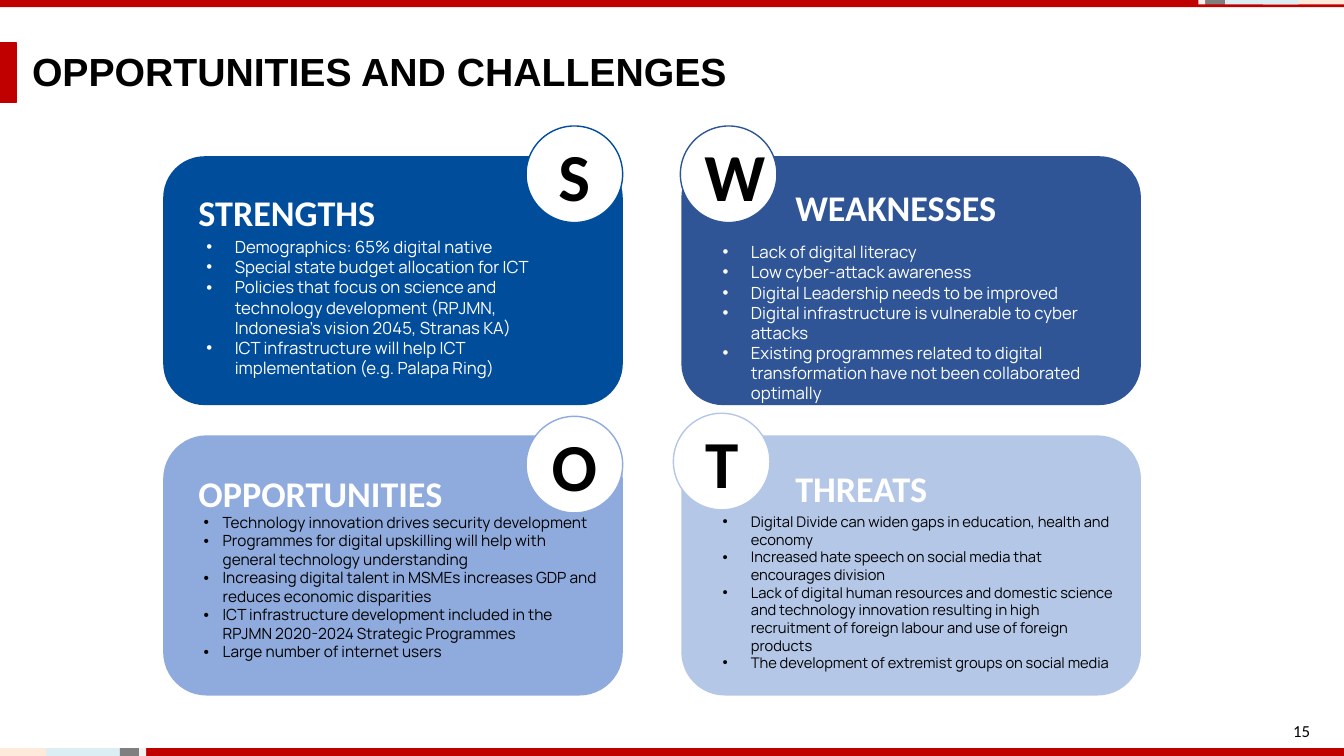
from pptx import Presentation
from pptx.dml.color import RGBColor
from pptx.enum import shapes, text
from pptx.oxml.xmlchemy import OxmlElement
from pptx.util import Pt

HUES = {
    "red": "C00000", "peach": "FDEADA", "ice": "DBEEF4", "gray": "7F7F7F",
    "pale": "F2F2F2", "white": "FFFFFF", "black": "000000",
    "S": "004D9C", "W": "2F5597", "O": "8FAADC", "T": "B4C7E7",
}
KINDS = shapes.MSO_SHAPE


def add_block(kind, x, y, w, h, fill, line=None):
    block = slide.shapes.add_shape(kind, Pt(x), Pt(y), Pt(w), Pt(h))
    block.shadow.inherit = False
    block.fill.solid()
    block.fill.fore_color.rgb = RGBColor.from_string(HUES[fill])
    if line:
        block.line.color.rgb = RGBColor.from_string(HUES[line])
        block.line.width = Pt(1)
    else:
        block.line.fill.background()
    return block


def add_text(lines, box=None, shape=None, size=12, font="Calibri", hue="black",
             bold=False, align=None, middle=False, inset=None, space=None, indent=None):
    """Fill a shape, or a new text box; indent is (margin, hang) for bullets."""
    shape = shape or slide.shapes.add_textbox(*map(Pt, box))
    frame = shape.text_frame
    frame.word_wrap = True
    frame.vertical_anchor = text.MSO_ANCHOR.MIDDLE if middle else text.MSO_ANCHOR.TOP
    if inset is not None:
        frame.margin_left = frame.margin_right = Pt(inset)
        frame.margin_top = frame.margin_bottom = Pt(inset)
    for i, line in enumerate(lines):
        para = frame.paragraphs[0] if i == 0 else frame.add_paragraph()
        para.alignment = align
        if space:
            para.line_spacing = space
        if indent:
            props = para._p.get_or_add_pPr()
            props.set("marL", str(Pt(indent[0])))
            props.set("indent", str(Pt(-indent[1])))
            tint = OxmlElement("a:buClr")
            rgb = OxmlElement("a:srgbClr")
            rgb.set("val", HUES[hue])
            tint.append(rgb)
            face = OxmlElement("a:buFont")
            face.set("typeface", "Arial")
            mark = OxmlElement("a:buChar")
            mark.set("char", "•")
            props.extend([tint, face, mark])
        run = para.add_run()
        run.text = line
        run.font.size = Pt(size)
        run.font.name = font
        run.font.bold = bold
        run.font.color.rgb = RGBColor.from_string(HUES[hue])


deck = Presentation()
deck.slide_width, deck.slide_height = Pt(960), Pt(540)
slide = deck.slides.add_slide(deck.slide_layouts[6])
center = text.PP_ALIGN.CENTER

# Edge strips: the top one is the bottom one turned by half
strip = [(0, 961, "red"), (0, 58.3, "peach"), (33.1, 52.6, "ice"),
         (85.7, 13.7, "gray"), (99.4, 5, "pale")]
for x, wide, hue in strip:
    add_block(KINDS.RECTANGLE, x, 534.3, wide, 5.8, hue)
    top = -0.7 if hue == "red" else -2.7
    add_block(KINDS.RECTANGLE, 960.5 - x - wide, top, wide, 5.8, hue)

add_text(["OPPORTUNITIES AND CHALLENGES"], (15.8, 26.6, 793.4, 52.6), size=28,
         font="Arial", bold=True, middle=True, space=0.9)
add_block(KINDS.RECTANGLE, -0.7, 30.2, 12.2, 43.2, "red", "red")

# letter, card (x, y, h), badge (x, y), heading, its box (x, y, w),
# list box (x, y, w, h), size, colour, indent, items
cards = [
    ("S", (116.6, 111.6, 177.8), (375.8, 90), "STRENGTHS", (141.8, 123.8, 136),
     (127.4, 169.2, 287.3, 101.5), 12, "white", (40.3, 20.2), [
         "Demographics: 65% digital native",
         "Special state budget allocation for ICT",
         "Policies that focus on science and technology development "
         "(RPJMN, Indonesia's vision 2045, Stranas KA)",
         "ICT infrastructure will help ICT implementation (e.g. Palapa Ring)"]),
    ("O", (116.6, 311, 185.8), (375.8, 297.4), "OPPORTUNITIES", (141.8, 324.7, 191.5),
     (127.4, 366.5, 302.4, 120.2), 11, "black", (31.7, 13.7), [
         "Technology innovation drives security development",
         "Programmes for digital upskilling will help with general technology "
         "understanding",
         "Increasing digital talent in MSMEs increases GDP and reduces economic "
         "disparities",
         "ICT infrastructure development included in the RPJMN 2020-2024 "
         "Strategic Programmes",
         "Large number of internet users"]),
    ("W", (486.7, 111.6, 177.8), (486, 90), "WEAKNESSES", (568.1, 120.2, 172),
     (496.1, 172.8, 307.4, 116.6), 12, "white", (40.3, 20.2), [
         "Lack of digital literacy",
         "Low cyber-attack awareness",
         "Digital Leadership needs to be improved",
         "Digital infrastructure is vulnerable to cyber attacks",
         "Existing programmes related to digital transformation have not been "
         "collaborated optimally"]),
    ("T", (486.7, 311, 185.8), (481, 295.2), "THREATS", (568.1, 321.1, 136),
     (496.1, 366.5, 302.4, 127.4), 10.5, "black", (40.3, 20.2), [
         "Digital Divide can widen gaps in education, health and economy",
         "Increased hate speech on social media that encourages division",
         "Lack of digital human resources and domestic science and technology "
         "innovation resulting in high recruitment of foreign labour and use of "
         "foreign products",
         "The development of extremist groups on social media"]),
]
for letter, card, badge, head, spot, area, size, hue, indent, items in cards:
    x, y, high = card
    add_block(KINDS.ROUNDED_RECTANGLE, x, y, 328.3, high, letter)
    disc = add_block(KINDS.OVAL, *badge, 69, 69, "white", letter)
    add_text([letter], shape=disc, size=48, bold=True, align=center, middle=True)
    add_text([head], (*spot, 44), size=25.8, hue="white", bold=True, inset=0, space=1.4)
    add_text(items, area, size=size, font="Manrope", hue=hue, inset=0, indent=indent)

add_text(["15"], (912.2, 508.3, 35.3, 27.4), align=center, middle=True)

deck.save("out.pptx")
